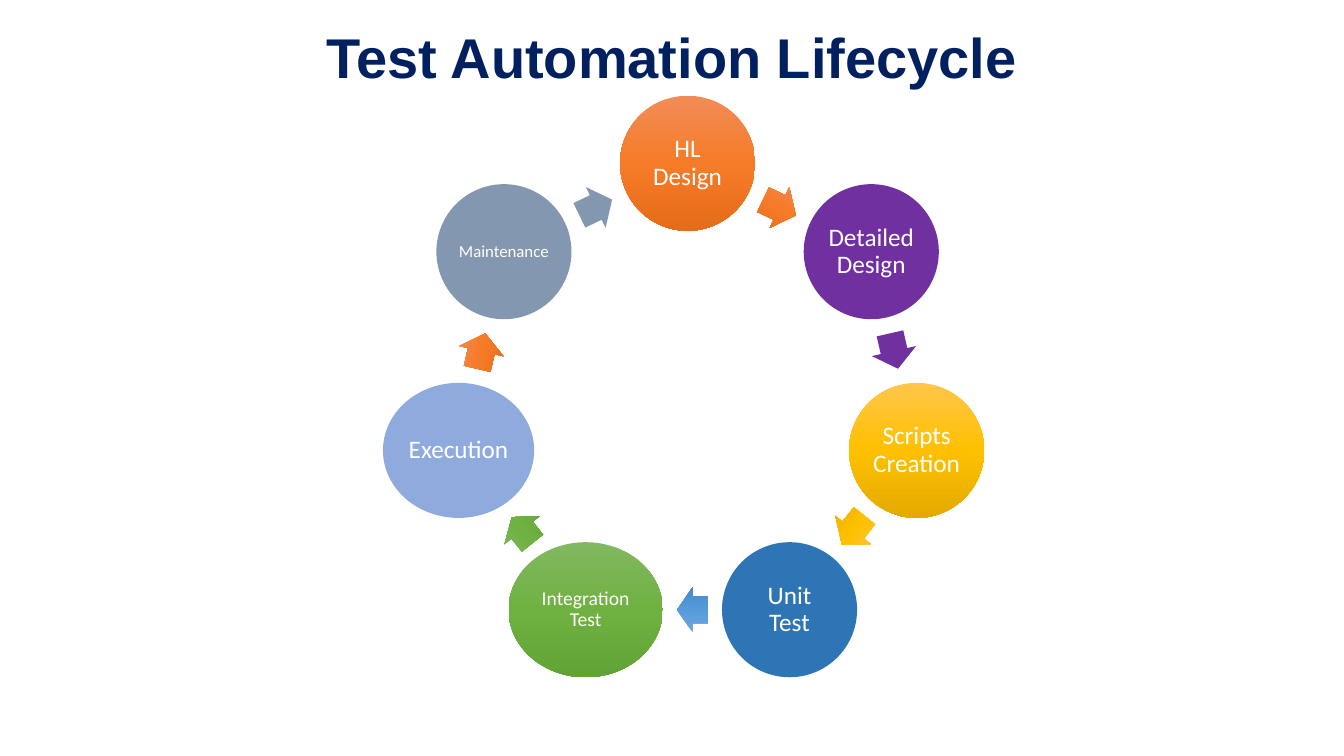
from copy import deepcopy
from math import cos, pi, radians, sin

from pptx import Presentation
from pptx.dml.color import RGBColor
from pptx.enum.shapes import MSO_SHAPE
from pptx.enum.text import MSO_ANCHOR, MSO_AUTO_SIZE, PP_ALIGN
from pptx.util import Inches, Pt

NAVY = RGBColor(0x00, 0x20, 0x60)
WHITE = RGBColor(0xFF, 0xFF, 0xFF)
PURPLE = RGBColor(0x70, 0x30, 0xA0)
BLUE = RGBColor(0x2E, 0x75, 0xB6)
PERIWINKLE = RGBColor(0x8F, 0xAA, 0xDC)
SLATE = RGBColor(0x84, 0x97, 0xB0)
ORANGE_SHADES = (RGBColor(0xF1, 0x8C, 0x57), RGBColor(0xF6, 0x7B, 0x28), RGBColor(0xE5, 0x6C, 0x19))
GOLD_SHADES = (RGBColor(0xFF, 0xC6, 0x4B), RGBColor(0xFF, 0xC0, 0x00), RGBColor(0xE3, 0xAB, 0x00))
BLUE_SHADES = (RGBColor(0x71, 0xA6, 0xDB), RGBColor(0x55, 0x9B, 0xDB), RGBColor(0x44, 0x8A, 0xCA))
GREEN_SHADES = (RGBColor(0x81, 0xB8, 0x61), RGBColor(0x6F, 0xB2, 0x42), RGBColor(0x62, 0xA3, 0x36))

CENTER_X, CENTER_Y, RADIUS = 6.82, 3.95, 2.33
CIRCLE_SIZE = 1.34
ARROW_HEIGHT = 0.45

# label, font size, width, inset, circle fill, arrow fill, arrow width, arrow shift
STAGES = [
    ("HL Design", 18, CIRCLE_SIZE, 0.03, ORANGE_SHADES, ORANGE_SHADES, 0.36, 0),
    ("Detailed Design", 18, CIRCLE_SIZE, 0.03, PURPLE, PURPLE, 0.36, 0),
    ("Scripts Creation", 18, CIRCLE_SIZE, 0.03, GOLD_SHADES, GOLD_SHADES, 0.36, 0),
    ("Unit Test", 18, CIRCLE_SIZE, 0.03, BLUE, BLUE_SHADES, 0.31, 0.05),
    ("Integration Test", 14, 1.53, 0.02, GREEN_SHADES, GREEN_SHADES, 0.33, 0),
    ("Execution", 18, 1.5, 0.03, PERIWINKLE, ORANGE_SHADES, 0.36, 0),
    ("Maintenance", 12, CIRCLE_SIZE, 0.02, SLATE, SLATE, 0.36, 0),
]


def ring_point(angle, radius):
    """Return the point at a clockwise angle in degrees from the top."""
    turn = radians(angle)
    return CENTER_X + radius * sin(turn), CENTER_Y - radius * cos(turn)


def paint(shape, color):
    """Fill with one colour, or with three shades from top to bottom."""
    if isinstance(color, RGBColor):
        shape.fill.solid()
        shape.fill.fore_color.rgb = color
        return
    shape.fill.gradient()
    shape.fill.gradient_angle = 270
    stop_list = shape._element.spPr.xpath("a:gradFill/a:gsLst")[0]
    stop_list.append(deepcopy(stop_list[0]))
    for stop, shade, position in zip(shape.fill.gradient_stops, color, (0, 0.5, 1)):
        stop.color.rgb = shade
        stop.position = position


def add_centered_shape(slide, kind, center, width, height, color):
    x, y = center
    shape = slide.shapes.add_shape(
        kind, Inches(x - width / 2), Inches(y - height / 2), Inches(width), Inches(height)
    )
    shape.shadow.inherit = False
    shape.line.fill.background()
    paint(shape, color)
    return shape


def write_text(frame, text, font_name, size, color, bold=False):
    frame.word_wrap = True
    paragraph = frame.paragraphs[0]
    paragraph.alignment = PP_ALIGN.CENTER
    paragraph.line_spacing = 0.9
    run = paragraph.add_run()
    run.text = text
    run.font.name = font_name
    run.font.size = Pt(size)
    run.font.bold = bold
    run.font.color.rgb = color


def add_title(slide, text):
    box = slide.shapes.add_textbox(Inches(2.33), Inches(0.25), Inches(8.66), Inches(0.71))
    box.text_frame.auto_size = MSO_AUTO_SIZE.SHAPE_TO_FIT_TEXT
    write_text(box.text_frame, text, "Arial", 40, NAVY, bold=True)


def add_stage(slide, center, label, size, width, inset, color):
    circle = add_centered_shape(slide, MSO_SHAPE.OVAL, center, width, CIRCLE_SIZE, color)
    frame = circle.text_frame
    frame.vertical_anchor = MSO_ANCHOR.MIDDLE
    frame.margin_left = frame.margin_right = Inches(inset)
    frame.margin_top = frame.margin_bottom = Inches(inset)
    write_text(frame, label, "Calibri", size, WHITE)


def add_arrow(slide, center, width, direction, color):
    arrow = add_centered_shape(slide, MSO_SHAPE.RIGHT_ARROW, center, width, ARROW_HEIGHT, color)
    arrow.adjustments[0] = 0.6
    arrow.adjustments[1] = 0.5
    arrow.rotation = direction


def add_cycle(slide):
    step = 360 / len(STAGES)
    arrow_radius = RADIUS * cos(pi / len(STAGES))
    for index, stage in enumerate(STAGES):
        label, size, width, inset, color, arrow_color, arrow_width, shift = stage
        add_stage(slide, ring_point(index * step, RADIUS), label, size, width, inset, color)
        direction = (index + 0.5) * step
        x, y = ring_point(direction, arrow_radius)
        add_arrow(slide, (x + shift, y), arrow_width, direction, arrow_color)


def main():
    presentation = Presentation()
    presentation.slide_width = Inches(13.33)
    presentation.slide_height = Inches(7.5)
    slide = presentation.slides.add_slide(presentation.slide_layouts[6])
    add_title(slide, "Test Automation Lifecycle")
    add_cycle(slide)
    presentation.save("out.pptx")


if __name__ == "__main__":
    main()
